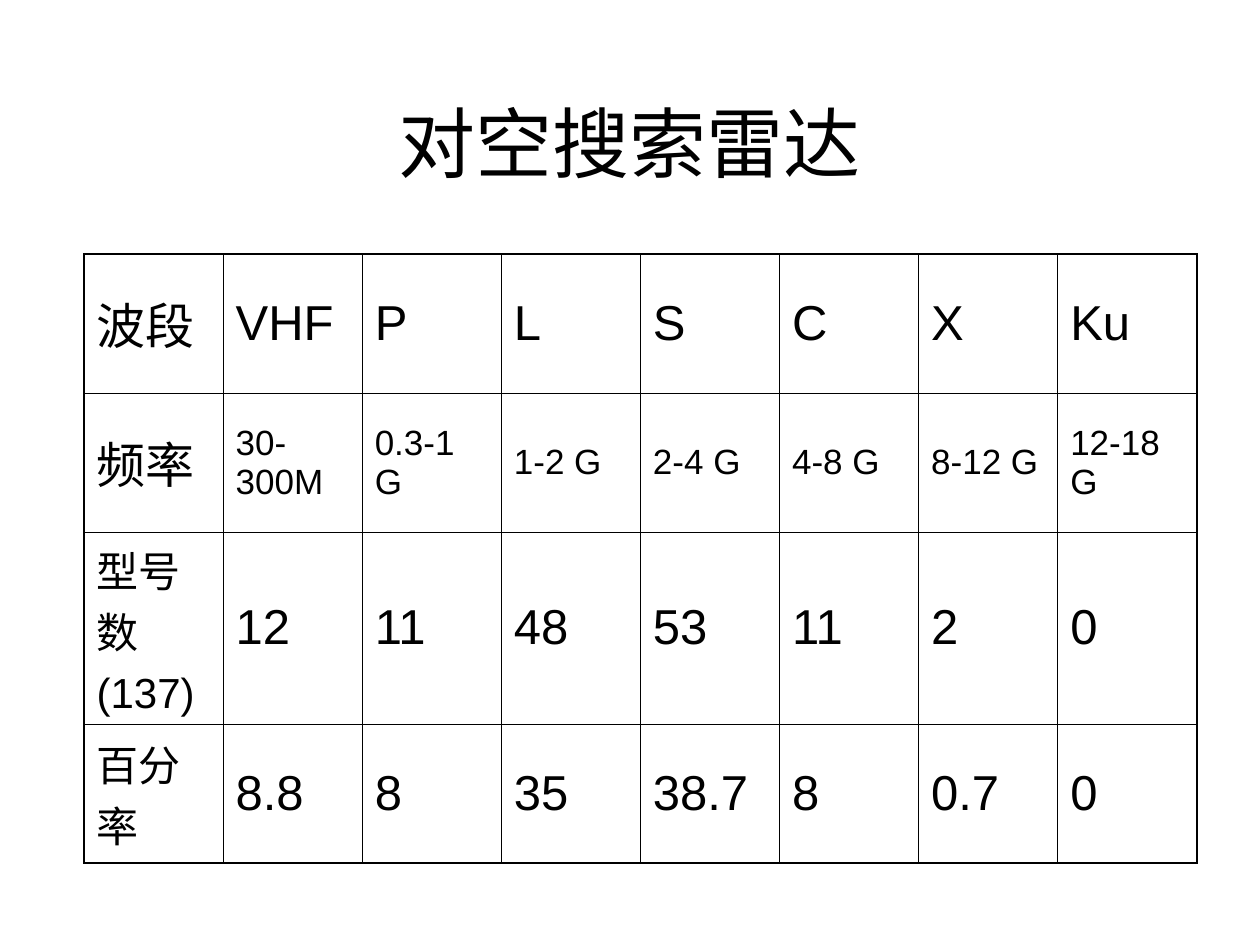
from dataclasses import dataclass

from lxml import etree
from pptx import Presentation
from pptx import util as u
from pptx.dml.color import RGBColor
from pptx.enum import text
from pptx.oxml import ns

EMU_PER_PX = 914400 / 126


@dataclass(frozen=True)
class Theme:
    font: str = "Arial"
    ink: str = "000000"
    title: int = 44
    large: int = 28
    medium: int = 24
    small: int = 20
    outer_line: float = 1.08
    inner_line: float = 0.45


def px(length):
    return u.Emu(round(length * EMU_PER_PX))


def write(frame, content, *, theme, size, align=text.PP_ALIGN.LEFT, gap=0):
    """Put each line of content in its own paragraph, gap points apart."""
    frame.word_wrap = True
    for index, line in enumerate(content.split("\n")):
        paragraph = frame.add_paragraph() if index else frame.paragraphs[0]
        paragraph.alignment = align
        if index:
            paragraph.space_before = u.Pt(gap)
        run = paragraph.add_run()
        run.text = line
        run.font.name = theme.font
        run.font.size = u.Pt(size)
        run.font.color.rgb = RGBColor.from_string(theme.ink)


def set_borders(cell, widths, colour):
    """Draw the left, right, top and bottom borders, widths in points."""
    properties = cell._tc.get_or_add_tcPr()
    for index, (side, width) in enumerate(zip("LRTB", widths)):
        line = etree.Element(ns.qn(f"a:ln{side}"), w=str(u.Pt(width)))
        fill = etree.SubElement(line, ns.qn("a:solidFill"))
        etree.SubElement(fill, ns.qn("a:srgbClr"), val=colour)
        properties.insert(index, line)


class SlideBuilder:
    def __init__(self, slide, theme):
        self.slide = slide
        self.theme = theme

    def title(self, content, left, top, width, height):
        box = self.slide.shapes.add_textbox(px(left), px(top), px(width), px(height))
        box.text_frame.vertical_anchor = text.MSO_ANCHOR.MIDDLE
        write(box.text_frame, content, theme=self.theme, size=self.theme.title,
              align=text.PP_ALIGN.CENTER)

    def table(self, rows, size_of, left, top, width, row_heights):
        """Build a table of equal columns; size_of(row, column) gives the type size."""
        row_count, column_count = len(rows), len(rows[0])
        table = self.slide.shapes.add_table(
            row_count, column_count, px(left), px(top),
            px(width), px(sum(row_heights))).table
        table.first_row = table.horz_banding = False
        for track, height in zip(table.rows, row_heights):
            track.height = px(height)
        outer, inner = self.theme.outer_line, self.theme.inner_line
        for r, row in enumerate(rows):
            for c, content in enumerate(row):
                cell = table.cell(r, c)
                cell.vertical_anchor = text.MSO_ANCHOR.MIDDLE
                cell.fill.background()
                on_edge = (c == 0, c == column_count - 1, r == 0, r == row_count - 1)
                set_borders(cell, [outer if edge else inner for edge in on_edge],
                            self.theme.ink)
                write(cell.text_frame, content, theme=self.theme,
                      size=size_of(r, c), gap=6)


RADAR_BANDS = [
    ["波段", "VHF", "P", "L", "S", "C", "X", "Ku"],
    ["频率", "30-300M", "0.3-1 G", "1-2 G", "2-4 G", "4-8 G", "8-12 G", "12-18 G"],
    ["型号数\n(137)", "12", "11", "48", "53", "11", "2", "0"],
    ["百分率", "8.8", "8", "35", "38.7", "8", "0.7", "0"],
]


def main():
    theme = Theme()

    def band_size(row, column):
        if column == 0 and row >= 2:
            return theme.medium
        if column > 0 and row == 1:
            return theme.small
        return theme.large

    deck = Presentation()
    deck.slide_width, deck.slide_height = px(1260), px(945)
    builder = SlideBuilder(deck.slides.add_slide(deck.slide_layouts[6]), theme)
    builder.title("对空搜索雷达", 73, 68, 1113, 147)
    builder.table(RADAR_BANDS, band_size, 84, 254, 1113, [139, 139, 192, 139])
    deck.save("out.pptx")


if __name__ == "__main__":
    main()
